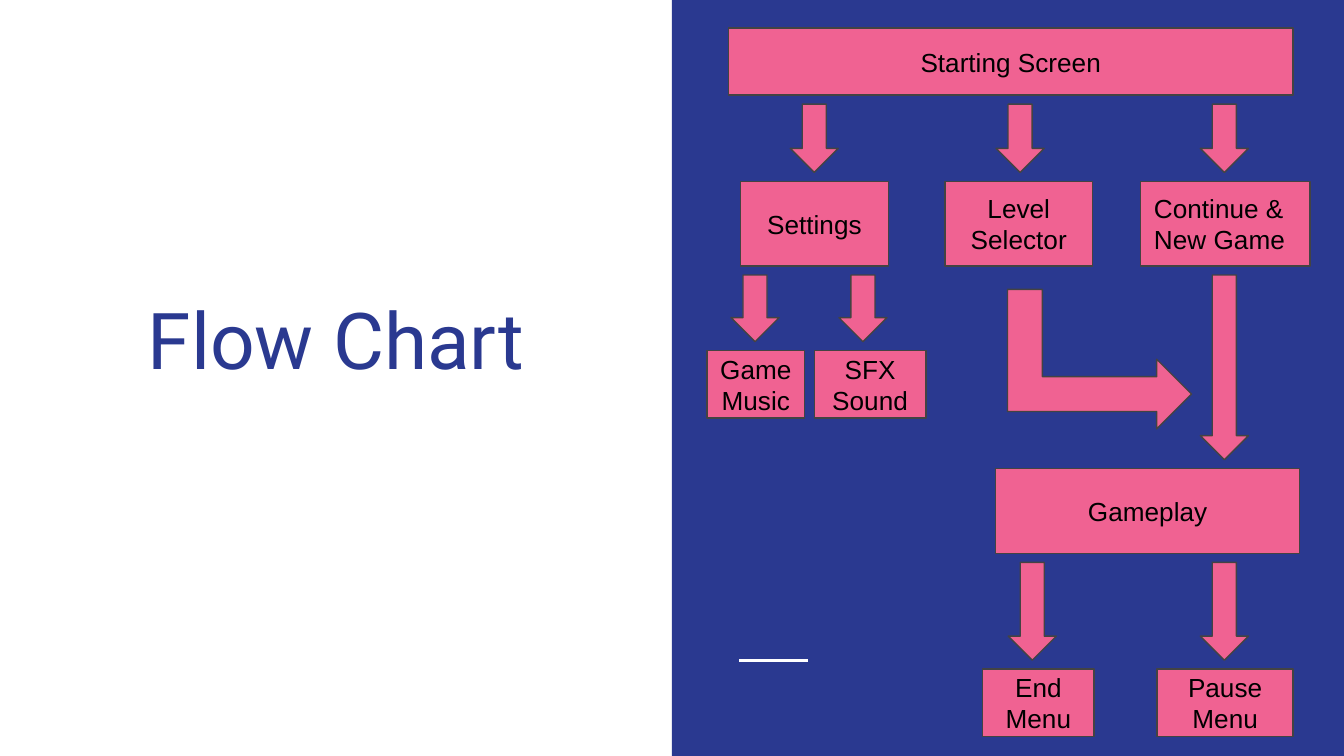
from pptx import Presentation
from pptx.dml.color import RGBColor
from pptx.enum.shapes import MSO_CONNECTOR as Connector, MSO_SHAPE as Shape
from pptx.enum.text import MSO_ANCHOR as Anchor, PP_ALIGN as Align
from pptx.oxml.ns import qn
from pptx.util import Cm, Pt
from lxml.etree import SubElement

NAVY = RGBColor(0x2A, 0x39, 0x90)
PINK = RGBColor(0xF0, 0x62, 0x92)
CHARCOAL = RGBColor(0x43, 0x43, 0x43)
WHITE = RGBColor(0xFF, 0xFF, 0xFF)
BLACK = RGBColor(0, 0, 0)

WIDTH, HEIGHT = 25.4, 14.29
INSET = 0.25
ARROW_WIDTH = 0.91
ARROW_GAP = 0.17

ROWS = {
    "start": (0.53, 1.27),
    "menu": (3.43, 1.6),
    "sound": (6.63, 1.27),
    "game": (8.86, 1.6),
    "end": (12.65, 1.27),
}
STEPS = [
    ("Starting Screen", "start", 1.07, 10.67, Align.CENTER),
    ("Settings", "menu", 1.3, 2.79, Align.CENTER),
    ("Level Selector", "menu", 5.16, 2.79, Align.CENTER),
    ("Continue & New Game", "menu", 8.86, 3.2, Align.LEFT),
    ("Game Music", "sound", 0.66, 1.85, Align.CENTER),
    ("SFX Sound", "sound", 2.69, 2.11, Align.CENTER),
    ("Gameplay", "game", 6.12, 5.74, Align.CENTER),
    ("End Menu", "end", 5.87, 2.11, Align.CENTER),
    ("Pause Menu", "end", 9.17, 2.57, Align.CENTER),
]
FLOWS = [
    ("start", "menu", 2.69),
    ("start", "menu", 6.58),
    ("start", "menu", 10.44),
    ("menu", "sound", 1.57),
    ("menu", "sound", 3.61),
    ("menu", "game", 10.44),
    ("game", "end", 6.81),
    ("game", "end", 10.44),
]


def write(frame, text, font_name, size, color, align, anchor):
    """Fill a text frame with one formatted paragraph."""
    frame.word_wrap = True
    frame.vertical_anchor = anchor
    frame.margin_left = frame.margin_right = Cm(INSET)
    frame.margin_top = frame.margin_bottom = Cm(INSET)
    frame.text = text
    paragraph = frame.paragraphs[0]
    paragraph.alignment = align
    font = paragraph.runs[0].font
    font.name, font.size, font.color.rgb = font_name, Pt(size), color


def add_pink(slide, kind, left, top, width, height):
    """Add a pink outlined shape of the given kind."""
    shape = slide.shapes.add_shape(kind, Cm(left), Cm(top), Cm(width), Cm(height))
    shape.shadow.inherit = False
    shape.fill.solid()
    shape.fill.fore_color.rgb = PINK
    shape.line.color.rgb = CHARCOAL
    shape.line.width = Pt(0.75)
    return shape


def add_title(slide, left, top, width, height):
    """Place the title in the left half."""
    title = slide.shapes.add_textbox(
        Cm(left + 0.74), Cm(top + 3.2), Cm(width - 1.48), Cm(4.34))
    write(title.text_frame, "Flow Chart", "Roboto", 42, NAVY, Align.CENTER, Anchor.BOTTOM)


def add_panel(slide, left, top, width, height):
    """Place the navy panel and its short white rule."""
    panel = slide.shapes.add_shape(
        Shape.RECTANGLE, Cm(left), Cm(top), Cm(width), Cm(height))
    panel.shadow.inherit = False
    panel.fill.solid()
    panel.fill.fore_color.rgb = NAVY
    panel.line.fill.background()

    rule_y = Cm(top + 12.49)
    rule = slide.shapes.add_connector(
        Connector.STRAIGHT, Cm(left + 1.27), rule_y, Cm(left + 2.57), rule_y)
    rule.line.color.rgb = WHITE
    rule.line.width = Pt(1.5)
    SubElement(rule._element.spPr, qn("a:effectLst"))


def add_flow_chart(slide, left, top, width, height):
    """Place the steps and the arrows between their rows."""
    for text, row, x, step_width, align in STEPS:
        y, step_height = ROWS[row]
        step = add_pink(slide, Shape.RECTANGLE, left + x, top + y, step_width, step_height)
        write(step.text_frame, text, "Arial", 14, BLACK, align, Anchor.MIDDLE)

    for source, target, center in FLOWS:
        start = sum(ROWS[source]) + ARROW_GAP
        end = ROWS[target][0] - ARROW_GAP
        add_pink(slide, Shape.DOWN_ARROW, left + center - ARROW_WIDTH / 2,
                 top + start, ARROW_WIDTH, end - start)

    level_arrow = add_pink(slide, Shape.BENT_UP_ARROW, left + 6.76, top + 5.05, 2.64, 3.48)
    level_arrow.rotation = 90


def main():
    """Build and save the slide."""
    prs = Presentation()
    prs.slide_width, prs.slide_height = Cm(WIDTH), Cm(HEIGHT)
    slide = prs.slides.add_slide(prs.slide_layouts[6])
    half = WIDTH / 2
    add_panel(slide, half, 0, half, HEIGHT)
    add_title(slide, 0, 0, half, HEIGHT)
    add_flow_chart(slide, half, 0, half, HEIGHT)
    prs.save("out.pptx")


if __name__ == "__main__":
    main()
